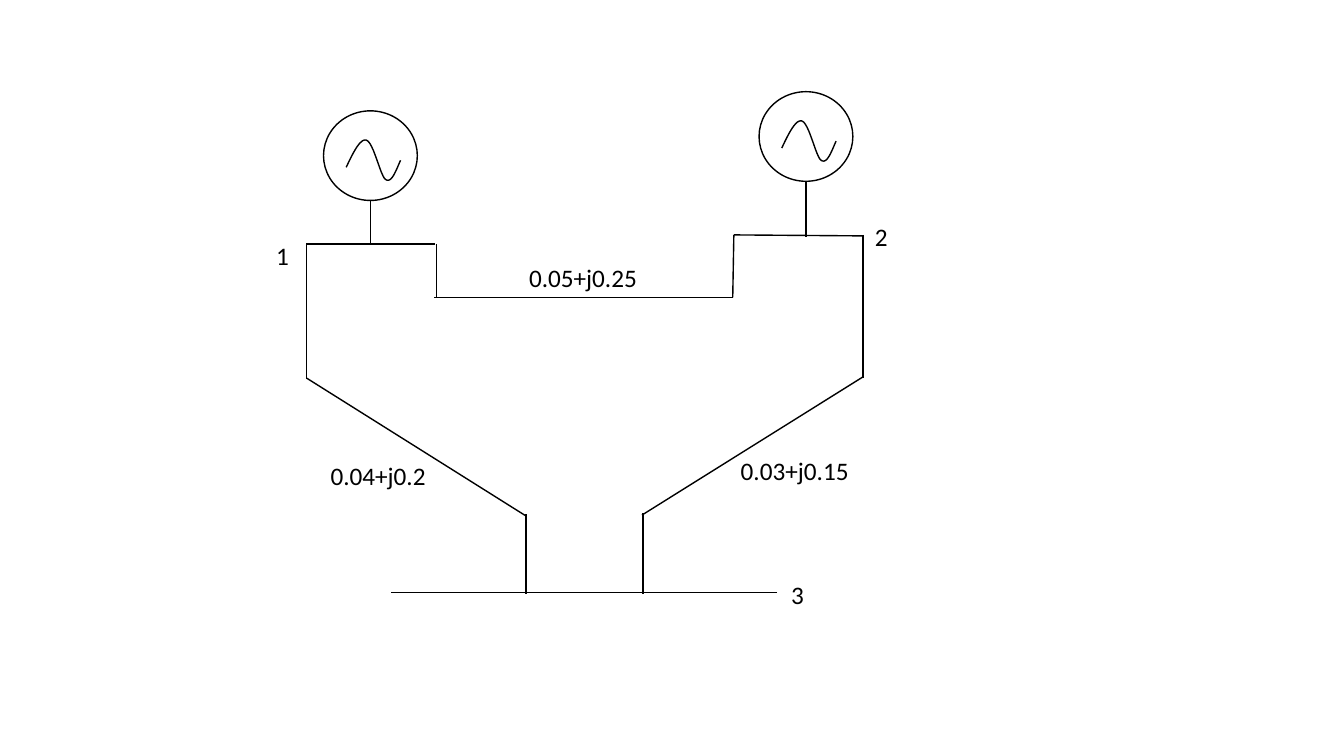
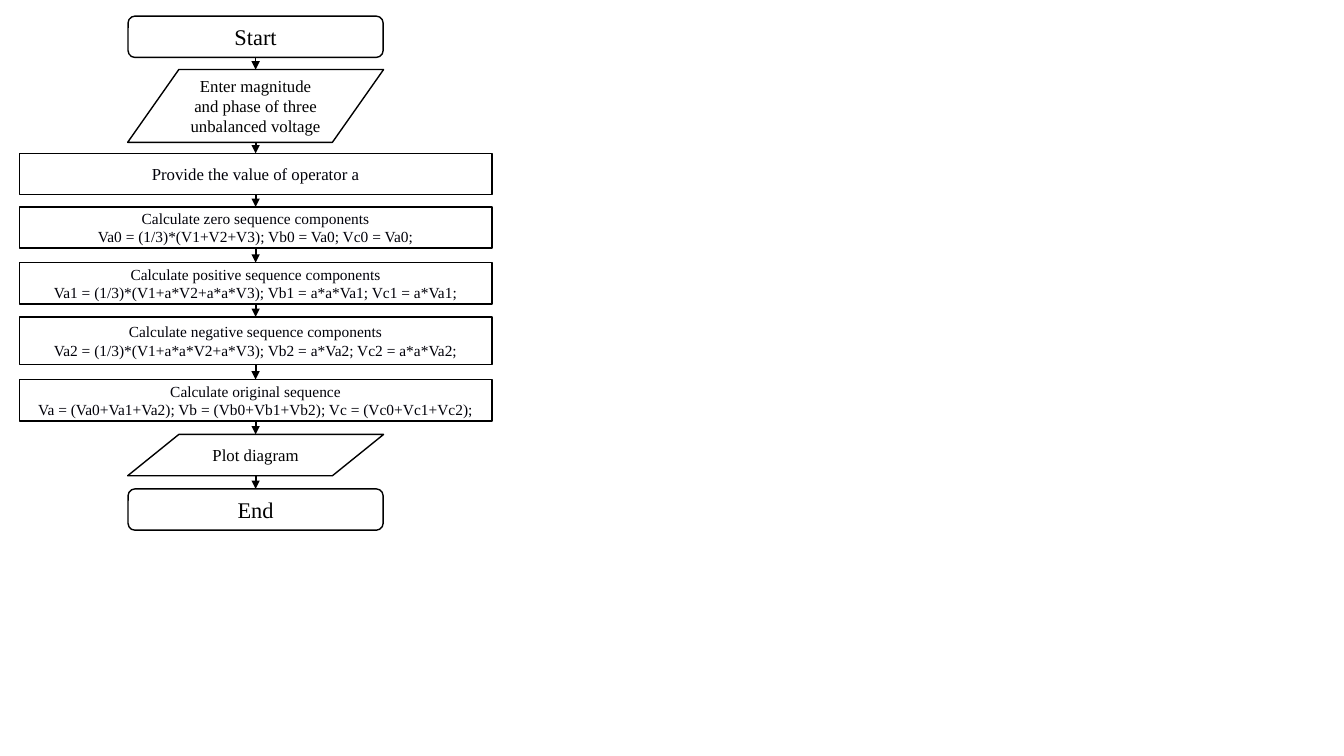
import pptx
import pptx.util
import pptx.dml.color
import pptx.enum.shapes
import pptx.enum.text
import pptx.oxml.ns
import lxml.etree

Pt = pptx.util.Pt
SHAPES = pptx.enum.shapes.MSO_SHAPE
BLACK = pptx.dml.color.RGBColor(0x00, 0x00, 0x00)
INK = pptx.dml.color.RGBColor(0x00, 0x00, 0x09)
WHITE = pptx.dml.color.RGBColor(0xFF, 0xFF, 0xFF)

presentation = pptx.Presentation()
presentation.slide_width = Pt(960)
presentation.slide_height = Pt(540)
blank_layout = presentation.slide_layouts[6]


def add_line(slide, start, end, width=1, arrow=False):
    connector = slide.shapes.add_connector(
        pptx.enum.shapes.MSO_CONNECTOR.STRAIGHT, *(Pt(value) for value in start + end))
    connector.line.color.rgb = BLACK
    connector.line.width = Pt(width)
    if arrow:
        tail = lxml.etree.SubElement(connector.line._get_or_add_ln(), pptx.oxml.ns.qn("a:tailEnd"))
        tail.set("type", "triangle")
    lxml.etree.SubElement(connector._element.spPr, pptx.oxml.ns.qn("a:effectLst"))


def write_text(shape, lines, font_format, alignment):
    for index, line in enumerate(lines):
        frame = shape.text_frame
        paragraph = frame.paragraphs[0] if index == 0 else frame.add_paragraph()
        paragraph.alignment = alignment
        run = paragraph.add_run()
        run.text = line
        run.font.color.rgb = font_format["color"]
        for name in ("name", "size"):
            setattr(run.font, name, font_format[name])


network = presentation.slides.add_slide(blank_layout)

CIRCLE_WIDTH, CIRCLE_HEIGHT = 67, 64
sine_curves = [
    ((16.2, 40.3), (21.2, 29.6), (26.3, 19.5), (30.6, 20.9)),
    ((30.6, 20.9), (35.7, 22.3), (40.7, 46.8), (44.3, 49)),
    ((44.3, 49), (48.6, 51.9), (51.5, 43.2), (55, 35.3)),
]
CURVE_STEPS = 12
for left, top, bus_top in [(231.1, 79.2, 175), (542.2, 65.5, 169.2)]:
    circle = network.shapes.add_shape(
        SHAPES.OVAL, Pt(left), Pt(top), Pt(CIRCLE_WIDTH), Pt(CIRCLE_HEIGHT))
    sine_points = [sine_curves[0][0]]
    for curve in sine_curves:
        for step in range(1, CURVE_STEPS + 1):
            t = step / CURVE_STEPS
            weights = ((1 - t) ** 3, 3 * t * (1 - t) ** 2, 3 * t ** 2 * (1 - t), t ** 3)
            sine_points.append(tuple(
                sum(weight * point[axis] for weight, point in zip(weights, curve))
                for axis in (0, 1)))
    outline = [(Pt(left + x), Pt(top + y)) for x, y in sine_points]
    builder = network.shapes.build_freeform(*outline[0])
    builder.add_line_segments(outline[1:], close=False)
    sine = builder.convert_to_shape()
    for shape in (circle, sine):
        shape.shadow.inherit = False
        shape.fill.background()
        shape.line.color.rgb = BLACK
        shape.line.width = Pt(1)
    center = left + CIRCLE_WIDTH / 2
    add_line(network, (center, top + CIRCLE_HEIGHT), (center, bus_top))

network_lines = [
    ((310.3, 212.4), (523.4, 212.4), 1),
    ((218.9, 175), (218.9, 270.7), 1),
    ((616.3, 167.8), (616.3, 270), 1.5),
    ((375.8, 367.2), (375.8, 424.1), 1),
    ((459.4, 366.5), (459.4, 424.1), 1),
    ((555.1, 423.4), (279.4, 423.4), 1),
    ((616.3, 269.3), (458.6, 367.9), 1),
    ((375.8, 368.6), (218.9, 270), 1),
    ((311.8, 174.2), (311.8, 212.4), 1),
    ((524.2, 167.8), (523.4, 212.4), 1),
    ((311, 174.2), (218.9, 174.2), 1),
    ((616.3, 168.5), (524.2, 167.8), 1),
]
for start, end, width in network_lines:
    add_line(network, start, end, width)

label_font = {"name": "Calibri", "size": Pt(18), "color": BLACK}
network_labels = [
    ("0.05+j0.25", 370.8, 183.6, 92.2),
    ("0.03+j0.15", 522, 321.8, 92.2),
    ("0.04+j0.2", 229, 325.4, 82.8),
    ("1", 190.1, 167.8, 23.8),
    ("2", 617.8, 154.8, 23.8),
    ("3", 558, 410.4, 23.8),
]
for text, left, top, width in network_labels:
    label = network.shapes.add_textbox(Pt(left), Pt(top), Pt(width), Pt(29))
    label.text_frame.word_wrap = False
    label.text_frame.auto_size = pptx.enum.text.MSO_AUTO_SIZE.SHAPE_TO_FIT_TEXT
    write_text(label, [text], label_font, pptx.enum.text.PP_ALIGN.LEFT)

flowchart = presentation.slides.add_slide(blank_layout)

FLOW_CENTER = 182.6
step_kinds = {
    "terminal": (SHAPES.FLOWCHART_ALTERNATE_PROCESS, 182.2, 16, BLACK),
    "data": (SHAPES.FLOWCHART_DATA, 182.8, 12, BLACK),
    "operator": (SHAPES.RECTANGLE, 337.7, 12, INK),
    "formula": (SHAPES.RECTANGLE, 337.7, 11, INK),
}
flow_steps = [
    ("terminal", 11.5, 29.5, ["Start"]),
    ("data", 49.7, 52, ["Enter magnitude and phase of three unbalanced voltage"]),
    ("operator", 109.6, 29.5, ["Provide the value of operator a"]),
    ("formula", 147.8, 29.5, ["Calculate zero sequence components",
                              "Va0 = (1/3)*(V1+V2+V3); Vb0 = Va0; Vc0 = Va0;"]),
    ("formula", 187.6, 29.5, ["Calculate positive sequence components",
                              "Va1 = (1/3)*(V1+a*V2+a*a*V3); Vb1 = a*a*Va1; Vc1 = a*Va1;"]),
    ("formula", 226.4, 34, ["Calculate negative sequence components",
                            "Va2 = (1/3)*(V1+a*a*V2+a*V3); Vb2 = a*Va2; Vc2 = a*a*Va2;"]),
    ("formula", 271.1, 29.5, ["Calculate original sequence",
                              "Va = (Va0+Va1+Va2); Vb = (Vb0+Vb1+Vb2); Vc = (Vc0+Vc1+Vc2);"]),
    ("data", 310.3, 29.5, ["Plot diagram"]),
    ("terminal", 349.2, 29.5, ["End"]),
]
for kind, top, height, lines in flow_steps:
    preset, width, size, color = step_kinds[kind]
    step_shape = flowchart.shapes.add_shape(
        preset, Pt(FLOW_CENTER - width / 2), Pt(top), Pt(width), Pt(height))
    step_shape.shadow.inherit = False
    step_shape.fill.solid()
    step_shape.fill.fore_color.rgb = WHITE
    step_shape.line.color.rgb = BLACK
    step_shape.line.width = Pt(1)
    step_shape.text_frame.word_wrap = True
    step_shape.text_frame.vertical_anchor = pptx.enum.text.MSO_ANCHOR.MIDDLE
    step_font = {"name": "Times New Roman", "size": Pt(size), "color": color}
    write_text(step_shape, lines, step_font, pptx.enum.text.PP_ALIGN.CENTER)

for index, (upper, lower) in enumerate(zip(flow_steps, flow_steps[1:])):
    add_line(flowchart, (FLOW_CENTER, upper[1] + upper[2]), (FLOW_CENTER, lower[1]),
             1 if index == 0 else 1.5, arrow=True)

presentation.save("out.pptx")
